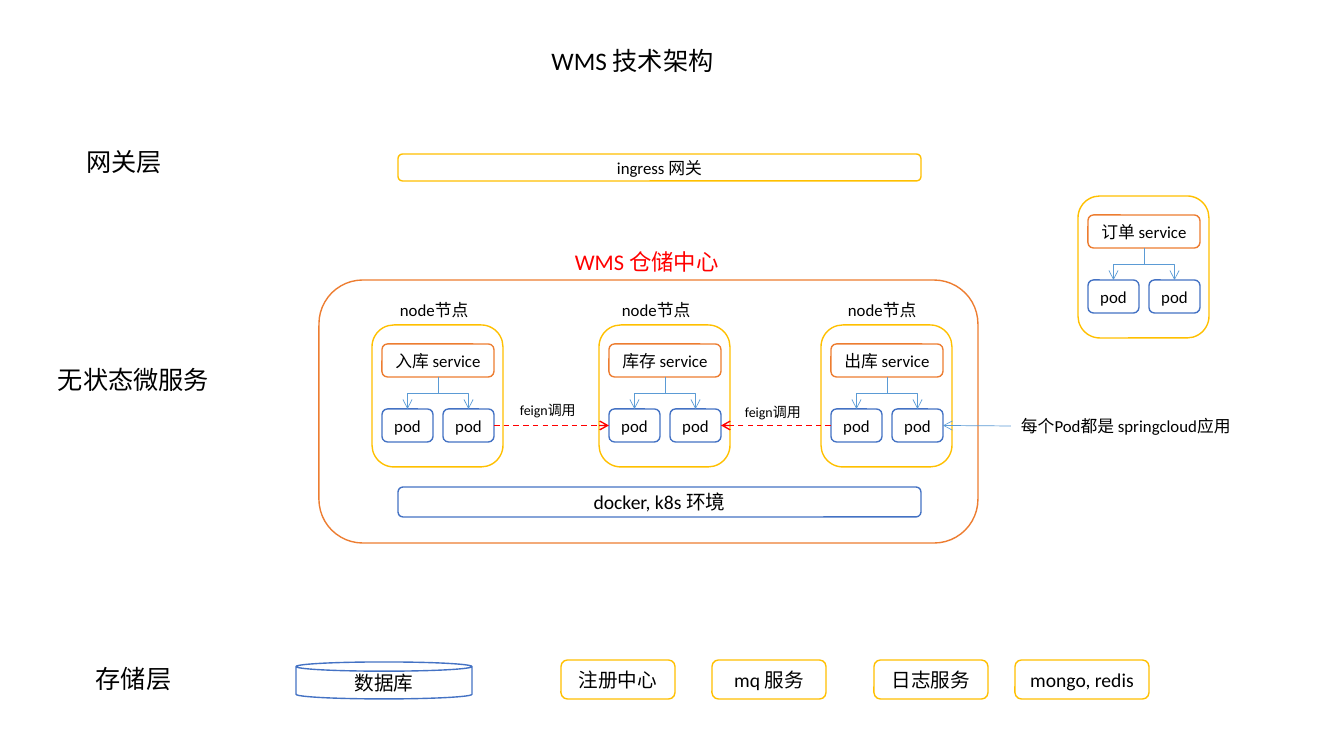
from lxml import etree
from pptx import Presentation
from pptx.dml.color import RGBColor
from pptx.enum.dml import MSO_LINE
from pptx.enum.shapes import MSO_CONNECTOR as CONN, MSO_SHAPE as SHAPE
from pptx.enum.text import MSO_ANCHOR as ANCHOR, MSO_AUTO_SIZE as AUTO, PP_ALIGN as ALIGN
from pptx.oxml.ns import qn
from pptx.util import Emu, Pt

EMU_PER_PX = 914400 / 100.8
FONT = "Calibri"
BLACK, WHITE, RED = "000000", "FFFFFF", "FF0000"
ORANGE, GOLD, BLUE, SKY = "ED7D31", "FFC000", "4472C4", "5B9BD5"
TOP, LEFT, BOTTOM, RIGHT = range(4)


def px(*lengths):
    return [Emu(round(n * EMU_PER_PX)) for n in lengths]


def color(hex_code):
    return RGBColor.from_string(hex_code)


def set_text(tf, text, size, ink=BLACK, align=ALIGN.CENTER, **frame_format):
    tf.word_wrap = True
    for name, value in frame_format.items():
        setattr(tf, name, value)
    p = tf.paragraphs[0]
    p.alignment = align
    r = p.add_run()
    r.text = text
    for name, value in {"name": FONT, "size": Pt(size), "bold": False}.items():
        setattr(r.font, name, value)
    r.font.color.rgb = color(ink)


def add_title(s, box, text):
    sp = s.shapes.title
    for name, value in zip(("left", "top", "width", "height"), px(*box)):
        setattr(sp, name, value)
    set_text(sp.text_frame, text, 18, vertical_anchor=ANCHOR.TOP,
             auto_size=AUTO.SHAPE_TO_FIT_TEXT)


def add_label(s, box, text, size, ink=BLACK, align=ALIGN.LEFT):
    sp = s.shapes.add_textbox(*px(*box))
    set_text(sp.text_frame, text, size, ink, align, auto_size=AUTO.SHAPE_TO_FIT_TEXT)
    return sp


def add_box(s, box, outline, text="", size=12, kind=SHAPE.ROUNDED_RECTANGLE):
    sp = s.shapes.add_shape(kind, *px(*box))
    sp.shadow.inherit = False
    sp.fill.solid()
    sp.fill.fore_color.rgb = color(WHITE)
    sp.line.color.rgb = color(outline)
    sp.line.width = Pt(1)
    if text:
        set_text(sp.text_frame, text, size, vertical_anchor=ANCHOR.MIDDLE)
    return sp


def add_arrow(s, start, start_side, end, end_side, ink=SKY, width=0.5,
              kind=CONN.STRAIGHT, dash=None):
    c = s.shapes.add_connector(kind, 0, 0, 0, 0)
    c.begin_connect(start, start_side)
    c.end_connect(end, end_side)
    c.line.color.rgb = color(ink)
    c.line.width = Pt(width)
    if dash:
        c.line.dash_style = dash
    c.line._get_or_add_ln().append(etree.Element(qn("a:tailEnd"), type="arrow"))
    etree.SubElement(c._element.spPr, qn("a:effectLst"))
    return c


def add_branch(s, service, pod):
    """Elbow that leaves the service downwards: a quarter turn of the usual one."""
    c = add_arrow(s, service, BOTTOM, pod, TOP, kind=CONN.ELBOW)
    x0, y0, x1, y1 = c.begin_x, c.begin_y, c.end_x, c.end_y
    mid_x, mid_y = (x0 + x1) // 2, (y0 + y1) // 2
    half_drop, half_run = (y1 - y0) // 2, (x0 - x1) // 2
    turned = {"begin_x": mid_x - half_drop, "begin_y": mid_y - half_run,
              "end_x": mid_x + half_drop, "end_y": mid_y + half_run}
    for name, value in turned.items():
        setattr(c, name, Emu(value))
    c._element.spPr.find(qn("a:xfrm")).set("rot", "5400000")


def add_node(s, x, y, service_name):
    add_box(s, (x, y, 131, 142), GOLD)
    service = add_box(s, (x + 10, y + 19, 112, 33), ORANGE, service_name)
    pods = [add_box(s, (x + dx, y + 84, 51, 33), BLUE, "pod") for dx in (10, 71)]
    for pod in pods:
        add_branch(s, service, pod)
    return pods


def main():
    prs = Presentation()
    prs.slide_width, prs.slide_height = px(1344, 756)
    s = prs.slides.add_slide(prs.slide_layouts[5])
    add_title(s, (511, 40, 243, 40), "WMS 技术架构")

    # Layer names
    for x, y, w, text in ((45, 141, 158, "网关层"), (45, 359, 177, "无状态微服务"),
                          (45, 658, 177, "存储层")):
        add_label(s, (x, y, w, 40), text, 18, align=ALIGN.CENTER)

    # Gateway
    add_box(s, (398, 154, 523, 27), GOLD, "ingress 网关")

    # Warehouse centre and its nodes
    add_label(s, (565, 243, 188, 37), "WMS 仓储中心", 16, RED)
    add_box(s, (319, 280, 659, 263), ORANGE)
    pods = []
    for x, label_x, name in ((372, 390, "入库 service"), (599, 612, "库存 service"),
                             (821, 838, "出库 service")):
        add_label(s, (label_x, 295, 96, 30), "node节点", 12)
        pods += add_node(s, x, 325, name)
    add_box(s, (398, 487, 523, 30), BLUE, "docker, k8s 环境", 14)

    # Calls between nodes
    for start, start_side, end, end_side, x, y in (
            (pods[1], RIGHT, pods[2], LEFT, 510, 397),
            (pods[4], LEFT, pods[3], RIGHT, 735, 399)):
        add_arrow(s, start, start_side, end, end_side, RED, 1, dash=MSO_LINE.DASH)
        add_label(s, (x, y, 82, 27), "feign调用", 10)

    # Pod remark
    remark = add_label(s, (1011, 411, 250, 30), "每个Pod都是 springcloud应用", 12)
    add_arrow(s, remark, LEFT, pods[5], RIGHT)

    # Order node outside the warehouse
    add_node(s, 1078, 196, "订单 service")

    # Storage
    add_box(s, (296, 662, 176, 37), BLUE, "数据库", 14, SHAPE.CAN)
    for x, w, text in ((561, 114, "注册中心"), (712, 114, "mq 服务"),
                       (874, 114, "日志服务"), (1015, 134, "mongo, redis")):
        add_box(s, (x, 660, w, 39), GOLD, text, 14)

    prs.save("out.pptx")


if __name__ == "__main__":
    main()
